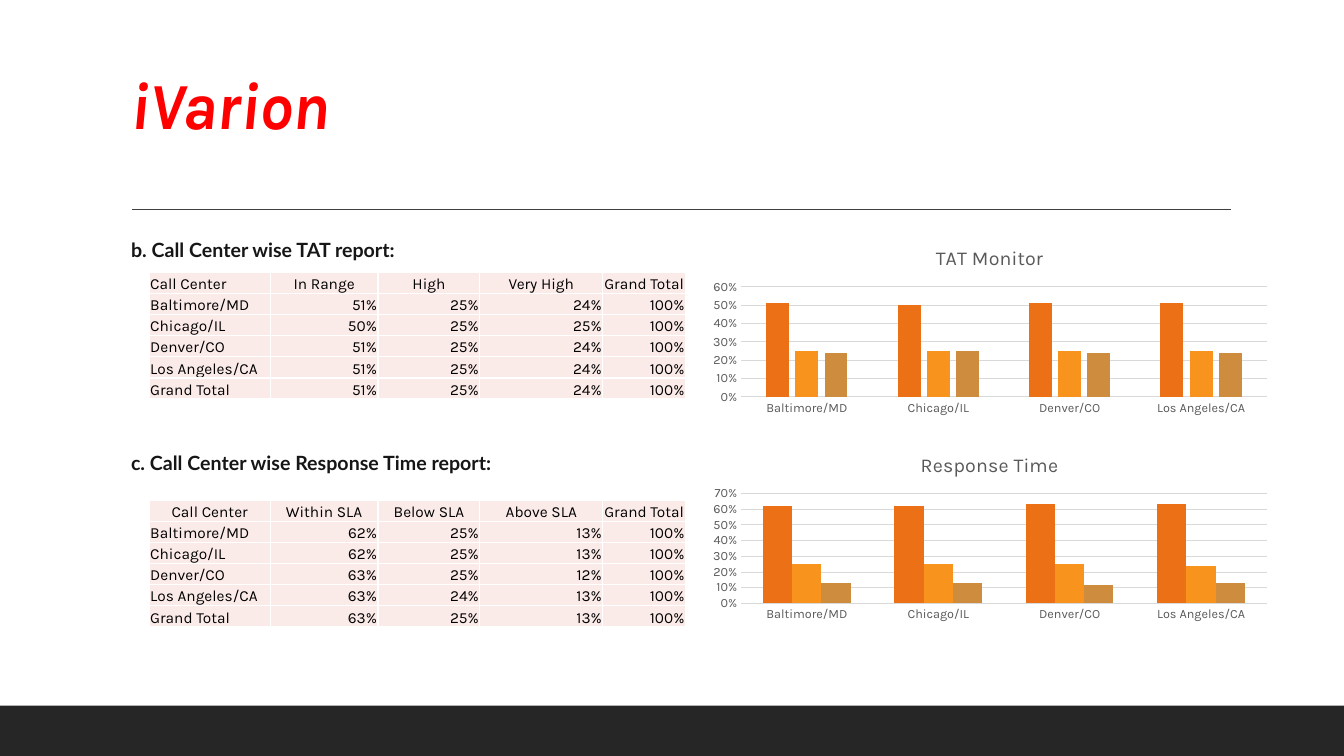
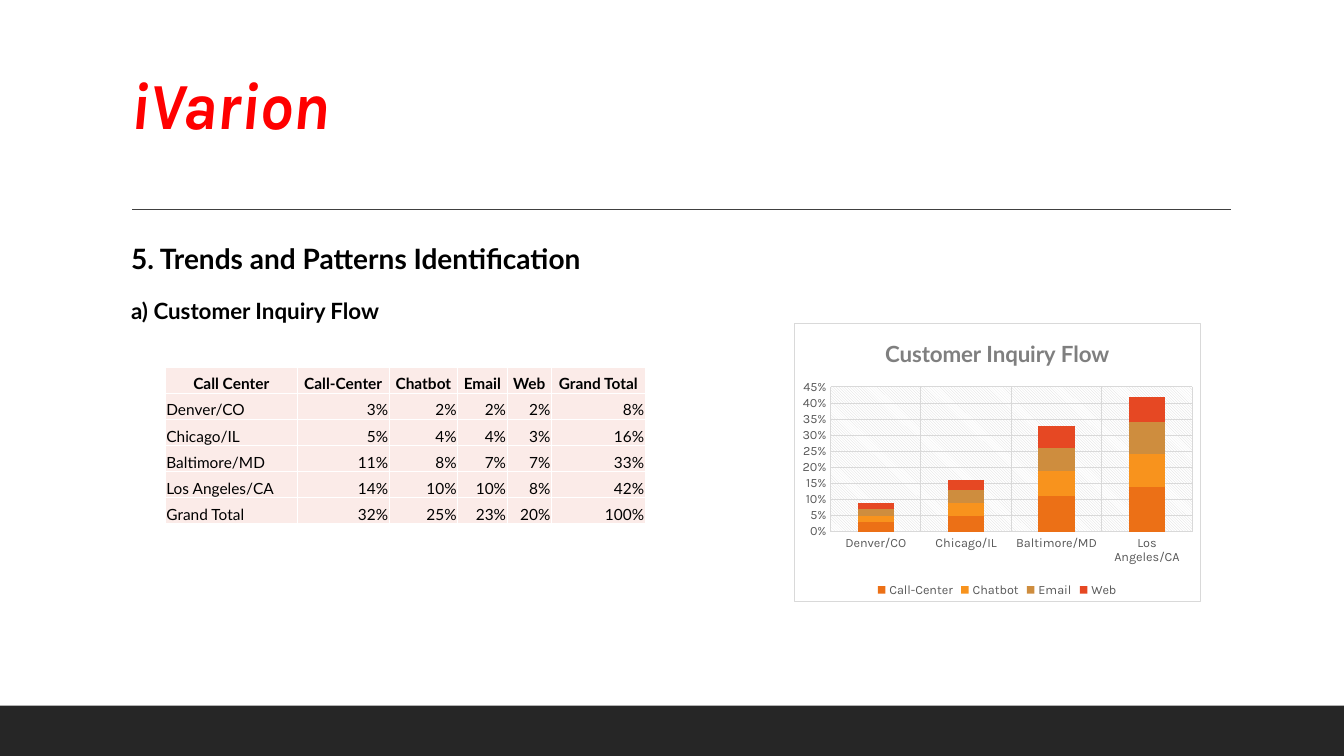
"""Build two call-center report slides with tables and charts."""
from lxml import etree
from pptx import Presentation
from pptx.chart.data import CategoryChartData
from pptx.dml.color import RGBColor
from pptx.enum import chart as ch, shapes, text
from pptx.oxml import parse_xml
from pptx.oxml.ns import nsdecls, qn
from pptx.util import Inches, Pt

RED = RGBColor(0xFF, 0x00, 0x00)
BLACK = RGBColor(0x00, 0x00, 0x00)
INK = RGBColor(0x16, 0x16, 0x16)
BAND = RGBColor(0x26, 0x26, 0x26)
RULE = RGBColor(0x40, 0x40, 0x40)
GRAY = RGBColor(0x59, 0x59, 0x59)
MID_GRAY = RGBColor(0x7F, 0x7F, 0x7F)
GRID = RGBColor(0xD9, 0xD9, 0xD9)
WHITE = RGBColor(0xFF, 0xFF, 0xFF)
CELL = RGBColor(0xFB, 0xEB, 0xE8)
SERIES = [RGBColor(0xEC, 0x70, 0x16), RGBColor(0xF8, 0x93, 0x1D),
          RGBColor(0xCE, 0x8D, 0x3E), RGBColor(0xE6, 0x48, 0x23)]
HEAD, BODY = "Karla", "Lato"
LEFT, CENTER, RIGHT = text.PP_ALIGN.LEFT, text.PP_ALIGN.CENTER, text.PP_ALIGN.RIGHT

TITLE = "iVarion"
TAT = [
    ("Call Center", "In Range", "High", "Very High", "Grand Total"),
    ("Baltimore/MD", 51, 25, 24, 100),
    ("Chicago/IL", 50, 25, 25, 100),
    ("Denver/CO", 51, 25, 24, 100),
    ("Los Angeles/CA", 51, 25, 24, 100),
    ("Grand Total", 51, 25, 24, 100),
]
RESPONSE = [
    ("Call Center", "Within SLA", "Below SLA", "Above SLA", "Grand Total"),
    ("Baltimore/MD", 62, 25, 13, 100),
    ("Chicago/IL", 62, 25, 13, 100),
    ("Denver/CO", 63, 25, 12, 100),
    ("Los Angeles/CA", 63, 24, 13, 100),
    ("Grand Total", 63, 25, 13, 100),
]
INQUIRY = [
    ("Call Center", "Call-Center", "Chatbot", "Email", "Web", "Grand Total"),
    ("Denver/CO", 3, 2, 2, 2, 8),
    ("Chicago/IL", 5, 4, 4, 3, 16),
    ("Baltimore/MD", 11, 8, 7, 7, 33),
    ("Los Angeles/CA", 14, 10, 10, 8, 42),
    ("Grand Total", 32, 25, 23, 20, 100),
]
REPORT_COLS = [1.2, 1.07, 1.01, 1.22, 0.82]
INQUIRY_COLS = [1.31, 0.91, 0.68, 0.49, 0.44, 0.93]
REPORTS = [
    dict(heading="b. Call Center wise TAT report:", heading_top=2.31, rows=TAT,
         table_top=2.7, corner=LEFT, title="TAT Monitor", chart_top=2.31,
         top_value=0.6, gap=219, overlap=-27),
    dict(heading="c. Call Center wise Response Time report:", heading_top=4.42,
         rows=RESPONSE, table_top=4.96, corner=CENTER, title="Response Time",
         chart_top=4.36, top_value=0.7, gap=150, overlap=0),
]


def style(font, size, color, name=BODY, bold=False, italic=False):
    font.size, font.name, font.bold, font.italic = Pt(size), name, bold, italic
    font.color.rgb = color


def write(p, content, align=LEFT, **fmt):
    p.alignment = align
    r = p.add_run()
    r.text = content
    style(r.font, **fmt)
    return r


def add_box(slide, x, y, w, h, anchor=text.MSO_ANCHOR.TOP, inset=0.1):
    tf = slide.shapes.add_textbox(*map(Inches, (x, y, w, h))).text_frame
    tf.word_wrap = True
    tf.vertical_anchor = anchor
    tf.margin_left = tf.margin_right = Inches(inset)
    return tf


def add_base(prs):
    slide = prs.slides.add_slide(prs.slide_layouts[6])
    band = slide.shapes.add_shape(shapes.MSO_SHAPE.RECTANGLE, 0, Inches(7),
                                  prs.slide_width, Inches(0.5))
    band.shadow.inherit = False
    band.fill.solid()
    band.fill.fore_color.rgb = BAND
    band.line.fill.background()
    rule = slide.shapes.add_connector(shapes.MSO_CONNECTOR.STRAIGHT,
                                      *map(Inches, (1.31, 2.08, 12.21, 2.08)))
    rule.line.color.rgb = RULE
    rule.line.width = Pt(1)
    etree.SubElement(rule._element.spPr, qn("a:effectLst"))
    p = add_box(slide, 1.2, 0.31, 11, 1.17, text.MSO_ANCHOR.BOTTOM).paragraphs[0]
    p.line_spacing = 0.9
    r = write(p, TITLE, size=47, color=RED, name=HEAD, bold=True, italic=True)
    r.font._element.set("spc", "-50")
    return slide


def style_cell(cell):
    cell.vertical_anchor = text.MSO_ANCHOR.BOTTOM
    cell.margin_left = cell.margin_right = cell.margin_top = Inches(0.01)
    cell.margin_bottom = 0
    tc_pr = cell._tc.get_or_add_tcPr()
    for side in "LRTB":
        tc_pr.append(parse_xml(
            f'<a:ln{side} {nsdecls("a")} w="12700"><a:solidFill>'
            f'<a:srgbClr val="{WHITE}"/></a:solidFill></a:ln{side}>'))
    cell.fill.solid()
    cell.fill.fore_color.rgb = CELL


def add_table(slide, rows, x, y, cols, row_h, name, bold_head=False, corner=CENTER):
    table = slide.shapes.add_table(len(rows), len(cols), Inches(x), Inches(y),
                                   Inches(sum(cols)), Inches(row_h * len(rows))).table
    table.first_row = table.horz_banding = False
    for col, width in zip(table.columns, cols):
        col.width = Inches(width)
    for i, values in enumerate(rows):
        table.rows[i].height = Inches(row_h)
        for j, value in enumerate(values):
            cell = table.cell(i, j)
            style_cell(cell)
            if i == 0:
                align = CENTER if j else corner
            else:
                align = RIGHT if j else LEFT
            write(cell.text_frame.paragraphs[0], f"{value}%" if i and j else value,
                  align, size=11, color=BLACK, name=name, bold=bold_head and i == 0)


def fill_xml(color):
    return f'<a:solidFill><a:srgbClr val="{color}"/></a:solidFill>' if color else "<a:noFill/>"


def sp_pr(fill, border=None):
    return parse_xml(f'<c:spPr {nsdecls("c", "a")}>{fill}'
                     f'<a:ln w="9525">{fill_xml(border)}</a:ln></c:spPr>')


def place_plot(plot_area, x, y, w, h):
    for old in plot_area.findall(qn("c:layout")):
        plot_area.remove(old)
    sizes = "".join(f'<c:{k} val="{v}"/>' for k, v in zip("xywh", (x, y, w, h)))
    plot_area.insert(0, parse_xml(
        f'<c:layout {nsdecls("c")}><c:manualLayout><c:layoutTarget val="inner"/>'
        f'<c:xMode val="edge"/><c:yMode val="edge"/>{sizes}</c:manualLayout></c:layout>'))


def style_axis(axis, line=True, grid=True):
    axis.major_tick_mark = axis.minor_tick_mark = ch.XL_TICK_MARK.NONE
    style(axis.tick_labels.font, 9, GRAY, HEAD)
    axis.has_major_gridlines = grid
    lines = [axis.format.line] if line else []
    if grid:
        lines.append(axis.major_gridlines.format.line)
    for ln in lines:
        ln.color.rgb = GRID
        ln.width = Pt(0.75)
    if not line:
        axis.format.line.fill.background()


def add_chart(slide, rows, title, title_format, at, plot_at, top_value, step,
              gap, overlap, stacked=False):
    header, body = rows[0], rows[1:-1]
    data = CategoryChartData(number_format="0%")
    data.categories = [row[0] for row in body]
    for j, name in enumerate(header[1:-1], 1):
        data.add_series(name, [row[j] / 100 for row in body])
    kind = ch.XL_CHART_TYPE.COLUMN_STACKED if stacked else ch.XL_CHART_TYPE.COLUMN_CLUSTERED
    chart = slide.shapes.add_chart(kind, *map(Inches, at), data).chart
    style(chart.font, 10, BLACK, HEAD)
    chart.has_title = True
    write(chart.chart_title.text_frame.paragraphs[0], title, CENTER, **title_format)
    chart.chart_title.include_in_layout = False
    style_axis(chart.category_axis, grid=stacked)
    axis = chart.value_axis
    style_axis(axis, line=stacked)
    axis.minimum_scale, axis.maximum_scale, axis.major_unit = 0, top_value, step
    axis.tick_labels.number_format = "0%"
    axis.tick_labels.number_format_is_linked = False
    plot = chart.plots[0]
    plot.vary_by_categories = False
    plot.gap_width, plot.overlap = gap, overlap
    for series, color in zip(plot.series, SERIES):
        series.format.fill.solid()
        series.format.fill.fore_color.rgb = color
    chart.has_legend = stacked
    if stacked:
        chart.legend.position = ch.XL_LEGEND_POSITION.BOTTOM
        chart.legend.include_in_layout = False
        style(chart.legend.font, 9, GRAY, HEAD)
    chart_el = chart._chartSpace.find(qn("c:chart"))
    plot_area = chart_el.find(qn("c:plotArea"))
    place_plot(plot_area, *plot_at)
    hatch = (f'<a:pattFill prst="ltDnDiag"><a:fgClr><a:srgbClr val="{GRID}"/></a:fgClr>'
             f'<a:bgClr><a:srgbClr val="{WHITE}"/></a:bgClr></a:pattFill>')
    plot_area.append(sp_pr(hatch if stacked else fill_xml(None)))
    chart_el.addnext(sp_pr(fill_xml(WHITE if stacked else None), GRID if stacked else None))


def build_reports(prs):
    slide = add_base(prs)
    for rep in REPORTS:
        tf = add_box(slide, 1.3, rep["heading_top"], 5.5, 0.35, inset=0)
        write(tf.paragraphs[0], rep["heading"], size=14, color=INK, bold=True)
        add_table(slide, rep["rows"], 1.48, rep["table_top"], REPORT_COLS, 0.21,
                  HEAD, corner=rep["corner"])
        add_chart(slide, rep["rows"], rep["title"], dict(size=14, color=GRAY, name=HEAD),
                  (6.95, rep["chart_top"], 5.73, 1.85), (0.07, 0.29, 0.91, 0.59),
                  rep["top_value"], 0.1, rep["gap"], rep["overlap"])


def build_trends(prs):
    slide = add_base(prs)
    tf = add_box(slide, 1.3, 2.31, 6, 1.05, inset=0)
    first, second = tf.paragraphs[0], tf.add_paragraph()
    write(first, "5. Trends and Patterns Identification", size=20, color=BLACK, bold=True)
    write(second, "a) Customer Inquiry Flow", size=16, color=BLACK, bold=True)
    first.line_spacing = second.line_spacing = 1.1
    first.space_after = Pt(2)
    second.space_before = Pt(12)
    add_chart(slide, INQUIRY, "Customer Inquiry Flow",
              dict(size=16, color=MID_GRAY, bold=True), (7.87, 3.2, 4.04, 2.77),
              (0.09, 0.23, 0.89, 0.52), 0.45, 0.05, 150, 100, stacked=True)
    add_table(slide, INQUIRY, 1.64, 3.64, INQUIRY_COLS, 0.26, BODY, bold_head=True)


def main():
    prs = Presentation()
    prs.slide_width, prs.slide_height = Inches(13.33), Inches(7.5)
    build_reports(prs)
    build_trends(prs)
    prs.save("out.pptx")


if __name__ == "__main__":
    main()
